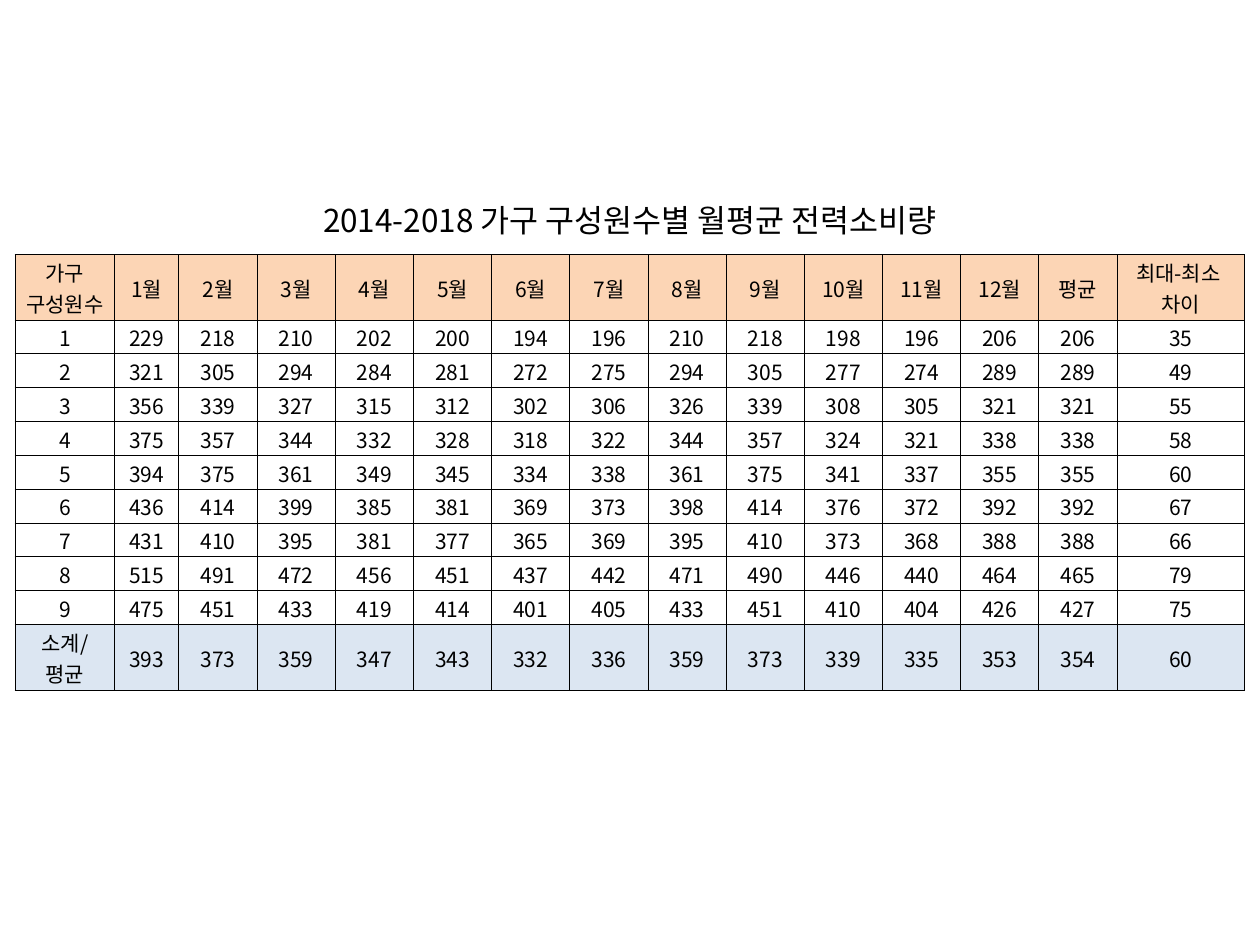
from lxml.etree import SubElement
from pptx import Presentation
from pptx.dml.color import RGBColor
from pptx.enum.text import MSO_ANCHOR, PP_ALIGN
from pptx.oxml import parse_xml
from pptx.oxml.ns import nsdecls, qn
from pptx.util import Inches, Pt

FONT = "Noto Sans CJK KR"
COLORS = {"text": "000000", "border": "000000", "header": "FCD5B5", "total": "DCE6F2"}
HEADINGS = ["가구\n구성원수", *[f"{month}월" for month in range(1, 13)], "평균", "최대-최소 \n차이"]
CONSUMPTION = [
    [229, 218, 210, 202, 200, 194, 196, 210, 218, 198, 196, 206, 206, 35],
    [321, 305, 294, 284, 281, 272, 275, 294, 305, 277, 274, 289, 289, 49],
    [356, 339, 327, 315, 312, 302, 306, 326, 339, 308, 305, 321, 321, 55],
    [375, 357, 344, 332, 328, 318, 322, 344, 357, 324, 321, 338, 338, 58],
    [394, 375, 361, 349, 345, 334, 338, 361, 375, 341, 337, 355, 355, 60],
    [436, 414, 399, 385, 381, 369, 373, 398, 414, 376, 372, 392, 392, 67],
    [431, 410, 395, 381, 377, 365, 369, 395, 410, 373, 368, 388, 388, 66],
    [515, 491, 472, 456, 451, 437, 442, 471, 490, 446, 440, 464, 465, 79],
    [475, 451, 433, 419, 414, 401, 405, 433, 451, 410, 404, 426, 427, 75],
]
AVERAGES = [393, 373, 359, 347, 343, 332, 336, 359, 373, 339, 335, 353, 354, 60]


def format_text(text_frame, size):
    """Centre the paragraphs and set their font, size and colour."""
    for paragraph in text_frame.paragraphs:
        paragraph.alignment = PP_ALIGN.CENTER
        for run in paragraph.runs:
            run.font.size = Pt(size)
            run.font.name = FONT
            run.font.color.rgb = RGBColor.from_string(COLORS["text"])
            SubElement(run.font._element, qn("a:ea")).set("typeface", FONT)


def add_borders(cell):
    """Draw a thin line on all four sides of a cell."""
    properties = cell._tc.get_or_add_tcPr()
    for position, side in enumerate(("lnL", "lnR", "lnT", "lnB")):
        properties.insert(position, parse_xml(
            f'<a:{side} {nsdecls("a")} w="{Pt(0.5)}"><a:solidFill>'
            f'<a:srgbClr val="{COLORS["border"]}"/></a:solidFill></a:{side}>'))


def fill_cell(cell, content, color):
    """Write one cell with its margins, fill and borders."""
    cell.text_frame.text = str(content)
    cell.vertical_anchor = MSO_ANCHOR.MIDDLE
    cell.margin_left = cell.margin_top = cell.margin_right = Inches(0.01)
    cell.margin_bottom = 0
    format_text(cell.text_frame, 12)
    if color:
        cell.fill.solid()
        cell.fill.fore_color.rgb = RGBColor.from_string(color)
    else:
        cell.fill.background()
    add_borders(cell)


def add_title(slide, left, top, width, height):
    """Place the title in the given box."""
    title = slide.shapes.add_textbox(Inches(left), Inches(top), Inches(width), Inches(height))
    title.text_frame.word_wrap = True
    title.text_frame.vertical_anchor = MSO_ANCHOR.MIDDLE
    title.text_frame.text = "2014-2018 가구 구성원수별 월평균 전력소비량"
    format_text(title.text_frame, 18)


def add_consumption_table(slide, left, top, width, height):
    """Place the table of monthly consumption by household size."""
    households = [[size, *usage] for size, usage in enumerate(CONSUMPTION, 1)]
    rows = [HEADINGS, *households, ["소계/\n평균", *AVERAGES]]
    fills = [COLORS["header"], *[None] * len(households), COLORS["total"]]
    size_width, january_width, difference_width, tall_row = 0.79, 0.51, 1.01, 0.52
    regular_count = len(HEADINGS) - 3
    regular_width = (width - size_width - january_width - difference_width) / regular_count
    widths = [size_width, january_width, *[regular_width] * regular_count, difference_width]
    short_row = (height - 2 * tall_row) / len(households)
    heights = [tall_row, *[short_row] * len(households), tall_row]

    table = slide.shapes.add_table(len(rows), len(HEADINGS), Inches(left), Inches(top),
                                   Inches(width), Inches(height)).table
    table.first_row = table.horz_banding = False
    for column, column_width in zip(table.columns, widths):
        column.width = Inches(column_width)
    for row, row_height, contents, color in zip(table.rows, heights, rows, fills):
        row.height = Inches(row_height)
        for cell, content in zip(row.cells, contents):
            fill_cell(cell, content, color)


def main():
    """Build and save the presentation."""
    presentation = Presentation()
    presentation.slide_width, presentation.slide_height = Inches(10), Inches(7.5)
    slide = presentation.slides.add_slide(presentation.slide_layouts[6])
    add_title(slide, 0.12, 1.47, 9.76, 0.55)
    add_consumption_table(slide, 0.12, 2.02, 9.76, 3.46)
    presentation.save("out.pptx")


main()
